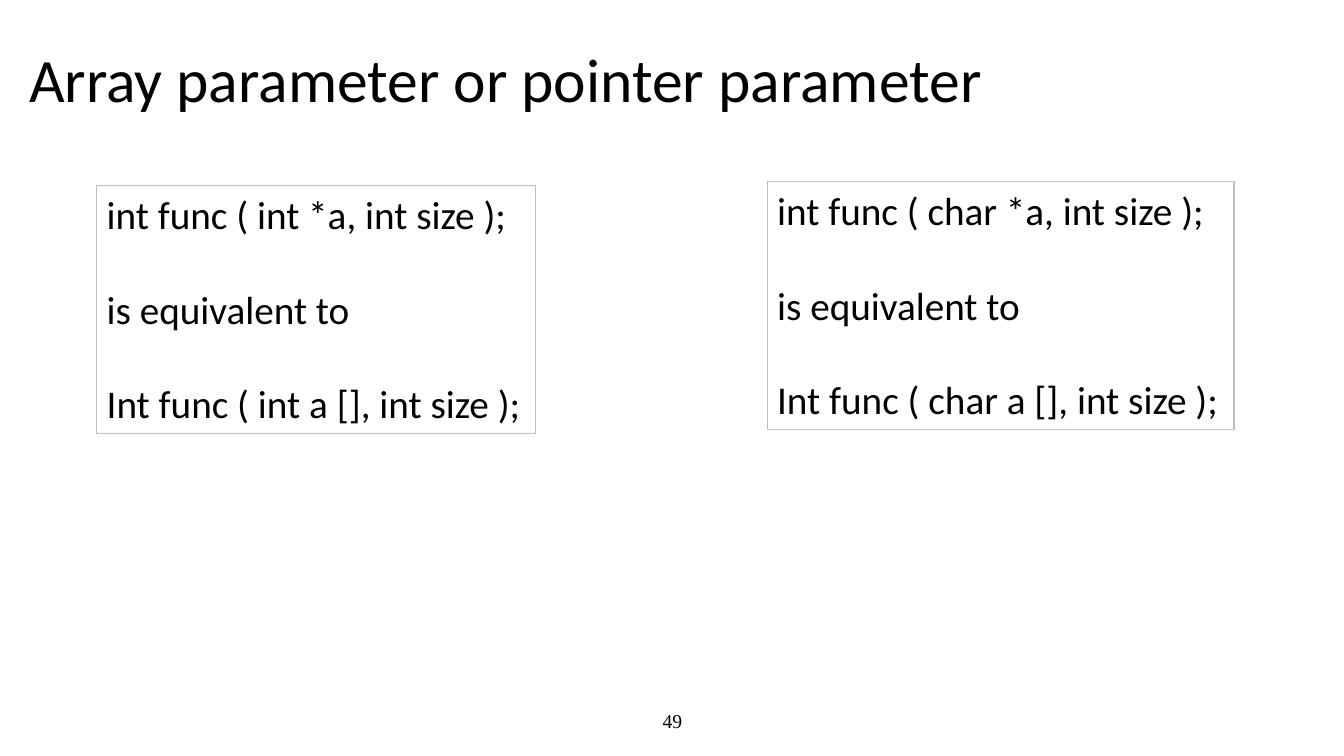
from dataclasses import dataclass

import pptx
import pptx.dml.color
import pptx.enum.shapes
import pptx.enum.text
import pptx.util

EMU_PER_PX = 9144  # 100 px to the inch
ALIGN = pptx.enum.text.PP_ALIGN
ANCHOR = pptx.enum.text.MSO_ANCHOR


@dataclass(frozen=True)
class Theme:
    ink: str = "000000"
    border: str = "BFBFBF"
    border_pt: float = 0.75
    font: str = "Calibri"
    number_font: str = "Times New Roman"
    title_pt: int = 44
    code_pt: int = 28
    code_gap_pt: int = 34
    number_pt: int = 14


@dataclass(frozen=True)
class Area:
    left: int
    top: int
    width: int
    height: int


@dataclass(frozen=True)
class Equivalence:
    area: Area
    element_type: str

    def lines(self) -> list[str]:
        return [
            f"int func ( {self.element_type} *a, int size );",
            "is equivalent to",
            f"Int func ( {self.element_type} a [], int size );",
        ]


THEME = Theme()
EQUIVALENCES = [
    Equivalence(Area(96, 184, 435, 246), "int"),
    Equivalence(Area(761, 180, 463, 246), "char"),
]


def px(length: int) -> pptx.util.Emu:
    return pptx.util.Emu(length * EMU_PER_PX)


def rgb(value: str) -> pptx.dml.color.RGBColor:
    return pptx.dml.color.RGBColor.from_string(value)


def bounds(area: Area) -> list[pptx.util.Emu]:
    return [px(length) for length in (area.left, area.top, area.width, area.height)]


def style(para, font: str, size: int, align=ALIGN.LEFT) -> None:
    para.alignment = align
    para.font.name = font
    para.font.size = pptx.util.Pt(size)
    para.font.color.rgb = rgb(THEME.ink)


def add_line(page, area: Area, text: str, font: str, size: int,
             align=ALIGN.LEFT, spacing: float = 1.0) -> None:
    """Add one vertically centred line of text."""
    frame = page.shapes.add_textbox(*bounds(area)).text_frame
    frame.word_wrap = True
    frame.vertical_anchor = ANCHOR.MIDDLE
    para = frame.paragraphs[0]
    para.text = text
    para.line_spacing = spacing
    style(para, font, size, align)


def add_equivalence(page, item: Equivalence) -> None:
    box = page.shapes.add_shape(
        pptx.enum.shapes.MSO_SHAPE.RECTANGLE, *bounds(item.area))
    box.shadow.inherit = False
    box.fill.background()
    box.line.color.rgb = rgb(THEME.border)
    box.line.width = pptx.util.Pt(THEME.border_pt)
    frame = box.text_frame
    frame.word_wrap = False
    frame.auto_size = pptx.enum.text.MSO_AUTO_SIZE.SHAPE_TO_FIT_TEXT
    frame.vertical_anchor = ANCHOR.TOP
    for index, line in enumerate(item.lines()):
        para = frame.add_paragraph() if index else frame.paragraphs[0]
        para.text = line
        if index:
            para.space_before = pptx.util.Pt(THEME.code_gap_pt)
        style(para, THEME.font, THEME.code_pt)


def main() -> None:
    deck = pptx.Presentation()
    deck.slide_width, deck.slide_height = px(1333), px(750)
    page = deck.slides.add_slide(deck.slide_layouts[6])
    add_line(page, Area(442, 695, 450, 40), "49",
             THEME.number_font, THEME.number_pt, align=ALIGN.CENTER)
    add_line(page, Area(19, 4, 1227, 156), "Array parameter or pointer parameter",
             THEME.font, THEME.title_pt, spacing=0.9)
    for item in EQUIVALENCES:
        add_equivalence(page, item)
    deck.save("out.pptx")


if __name__ == "__main__":
    main()
